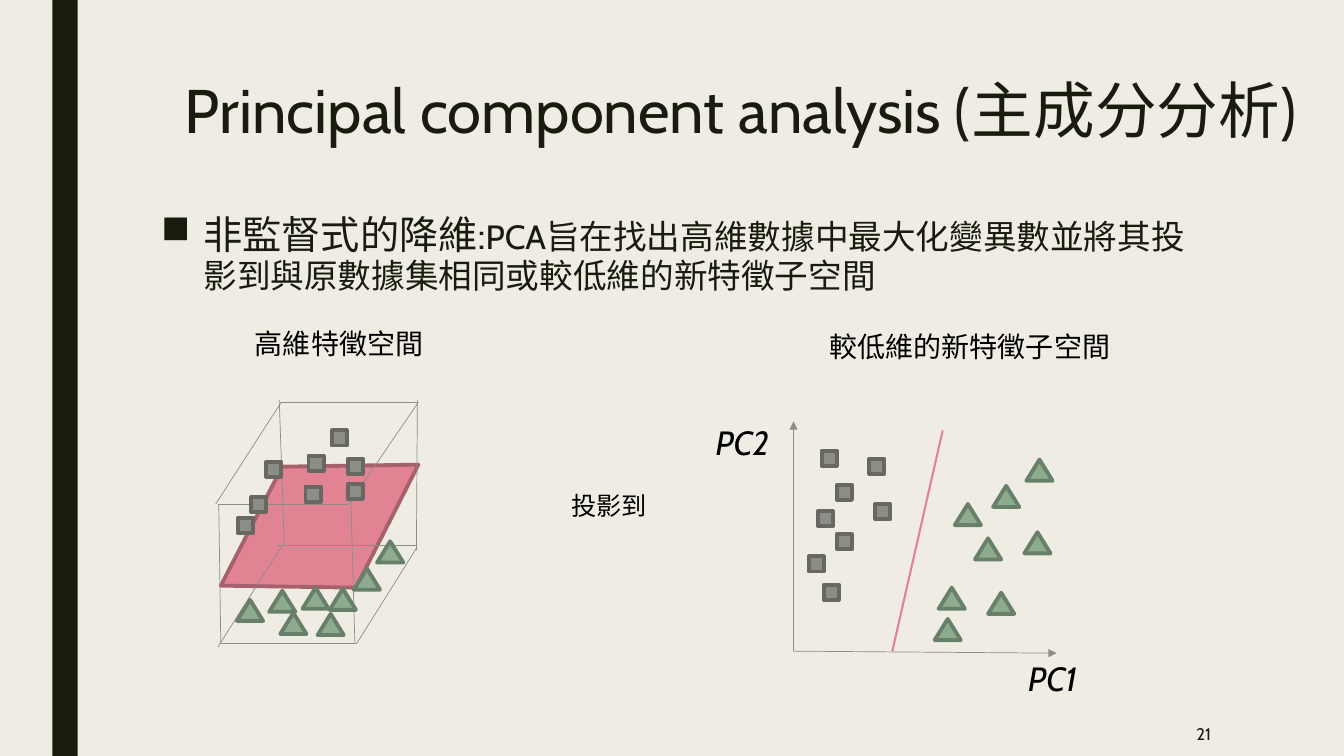
from pptx import Presentation
from pptx.dml.color import RGBColor
from pptx.enum.shapes import MSO_CONNECTOR as Link, MSO_SHAPE as Shape
from pptx.enum.text import MSO_ANCHOR as Anchor, PP_ALIGN as Align
from pptx.oxml.ns import qn
from pptx.util import Inches, Pt
from lxml.etree import SubElement as Sub

CREAM = RGBColor(0xEF, 0xED, 0xE3)
INK = RGBColor(0x19, 0x1B, 0x0E)
BLACK = RGBColor(0, 0, 0)
PINK = RGBColor(0xE2, 0x83, 0x94)
ROSE = RGBColor(0xA7, 0x61, 0x6D)
GRAY = RGBColor(0x8C, 0x8D, 0x86)
SLATE = RGBColor(0x68, 0x68, 0x63)
GREEN = RGBColor(0x8D, 0xAB, 0x8E)
MOSS = RGBColor(0x68, 0x7F, 0x69)

LATIN = "Cabin"
ASIAN = "Noto Sans CJK SC"

PLANE = [(2.8, 4.63), (4.15, 4.61), (3.53, 5.83), (2.19, 5.81)]
EDGES = [
    (2.79, 3.99, 2.14, 5), (4.14, 3.99, 2.79, 3.99),
    (3.46, 5, 2.16, 5), (4.15, 3.99, 3.46, 5),
    (2.8, 5.41, 2.16, 6.42), (4.13, 5.44, 3.54, 6.38),
    (4.14, 3.97, 4.13, 5.46), (2.17, 5.01, 2.19, 6.38),
    (4.13, 5.41, 2.75, 5.41), (3.54, 6.38, 2.19, 6.38),
    (3.48, 4.95, 3.52, 6.38), (2.77, 3.97, 2.82, 5.41),
]
AXES = [(7.87, 6.46, 7.87, 4.18), (7.87, 6.46, 10.48, 6.48)]
CUBE_SQUARES = [
    (3.29, 4.27), (3.06, 4.52), (2.64, 4.58), (2.49, 4.93),
    (3.45, 4.55), (3.03, 4.83), (2.36, 5.14), (3.45, 4.8),
]
CUBE_TRIANGLES = [
    (2.35, 5.95), (2.78, 6.08), (3.15, 6.09), (3.51, 5.64), (3, 5.83),
    (3.74, 5.37), (3.27, 5.84), (2.67, 5.86),
]
PLOT_SQUARES = [
    (8.15, 4.47), (8.3, 4.81), (8.62, 4.55), (8.3, 5.3),
    (8.11, 5.07), (8.68, 5), (8.17, 5.8), (8.02, 5.52),
]
PLOT_TRIANGLES = [
    (9.8, 5.88), (9.27, 6.14), (9.67, 5.34), (9.31, 5.83),
    (10.18, 4.56), (9.85, 4.82), (9.47, 5), (10.16, 5.28),
]


def paint(shape, fill, line=None):
    shape.shadow.inherit = False
    shape.fill.solid()
    shape.fill.fore_color.rgb = fill
    if line is None:
        shape.line.fill.background()
    else:
        shape.line.color.rgb = line
        shape.line.width = Pt(2.75)


def add_marks(slide, kind, size, spots, fill, line):
    for spot in spots:
        box = [Inches(v) for v in spot + size]
        paint(slide.shapes.add_shape(kind, *box), fill, line)


def add_squares(slide, spots):
    add_marks(slide, Shape.RECTANGLE, (0.15, 0.15), spots, GRAY, SLATE)


def add_triangles(slide, spots):
    add_marks(slide, Shape.ISOSCELES_TRIANGLE, (0.26, 0.21), spots, GREEN, MOSS)


def add_plane(slide):
    points = [(Inches(x), Inches(y)) for x, y in PLANE]
    form = slide.shapes.build_freeform(*points[0])
    form.add_line_segments(points[1:], close=True)
    paint(form.convert_to_shape(), PINK, ROSE)


def add_line(slide, ends, color=GRAY, width=0.5, arrow=False):
    link = slide.shapes.add_connector(
        Link.STRAIGHT, *[Inches(v) for v in ends])
    link.line.color.rgb = color
    link.line.width = Pt(width)
    if arrow:
        Sub(link.line._get_or_add_ln(), qn("a:tailEnd"), type="triangle")
    Sub(link._element.spPr, qn("a:effectLst"))


def add_text(slide, box, runs, color=BLACK, font=LATIN, italic=None,
             align=Align.LEFT, anchor=Anchor.TOP):
    frame = slide.shapes.add_textbox(*[Inches(v) for v in box]).text_frame
    frame.word_wrap = True
    frame.vertical_anchor = anchor
    para = frame.paragraphs[0]
    para.alignment = align
    for words, size in runs:
        run = para.add_run()
        run.text = words
        run.font.name = font
        run.font.size = Pt(size)
        run.font.italic = italic
        run.font.color.rgb = color
        Sub(run.font._element, qn("a:ea"), typeface=ASIAN)
    return para


def add_bullet(para):
    para.line_spacing = 0.94
    para.space_before = Pt(10)
    para.space_after = Pt(2)
    props = para._p.get_or_add_pPr()
    props.set("marL", str(Inches(0.42)))
    props.set("indent", str(Inches(-0.42)))
    Sub(props, qn("a:buChar"), char="■")


def add_cube(slide):
    add_plane(slide)
    for ends in EDGES:
        add_line(slide, ends)
    add_squares(slide, CUBE_SQUARES)
    add_triangles(slide, CUBE_TRIANGLES)
    add_text(slide, (2.43, 3.19, 1.88, 0.44), [("高維特徵空間", 20)], font=ASIAN)


def add_plot(slide):
    for ends in AXES:
        add_line(slide, ends, arrow=True)
    add_squares(slide, PLOT_SQUARES)
    add_triangles(slide, PLOT_TRIANGLES)
    add_line(slide, (8.85, 6.46, 9.35, 4.27), PINK, 1.5)
    add_text(slide, (10.1, 6.48, 1.06, 0.5), [("PC1", 24)], italic=True)
    add_text(slide, (7, 4.14, 0.96, 0.5), [("PC2", 24)], italic=True)
    add_text(slide, (8.13, 3.22, 2.98, 0.44), [("較低維的新特徵子空間", 20)])


def main():
    deck = Presentation()
    deck.slide_width = Inches(13.33)
    deck.slide_height = Inches(7.5)
    slide = deck.slides.add_slide(deck.slide_layouts[6])
    slide.background.fill.solid()
    slide.background.fill.fore_color.rgb = CREAM
    add_marks(slide, Shape.RECTANGLE, (0.25, 7.5), [(0.52, 0)], INK, None)
    title = add_text(slide, (1.5, 0.75, 11.69, 1.62),
                     [("Principal component analysis (主成分分析)", 44)],
                     INK, align=Align.CENTER)
    title.line_spacing = 0.89
    body = add_text(slide, (1.5, 2.07, 10.5, 4.35), [
        ("非監督式的降維:", 28),
        ("PCA旨在找出高維數據中最大化變異數並將其"
         "投影到與原數據集相同或較低維的新特徵子空間", 24),
    ], INK)
    add_bullet(body)
    add_text(slide, (10.36, 7.06, 1.75, 0.44), [("21", 12)], INK,
             align=Align.RIGHT, anchor=Anchor.MIDDLE)
    add_cube(slide)
    add_text(slide, (5.57, 4.82, 2.2, 0.4), [("投影到", 18)])
    add_plot(slide)
    deck.save("out.pptx")


if __name__ == "__main__":
    main()
